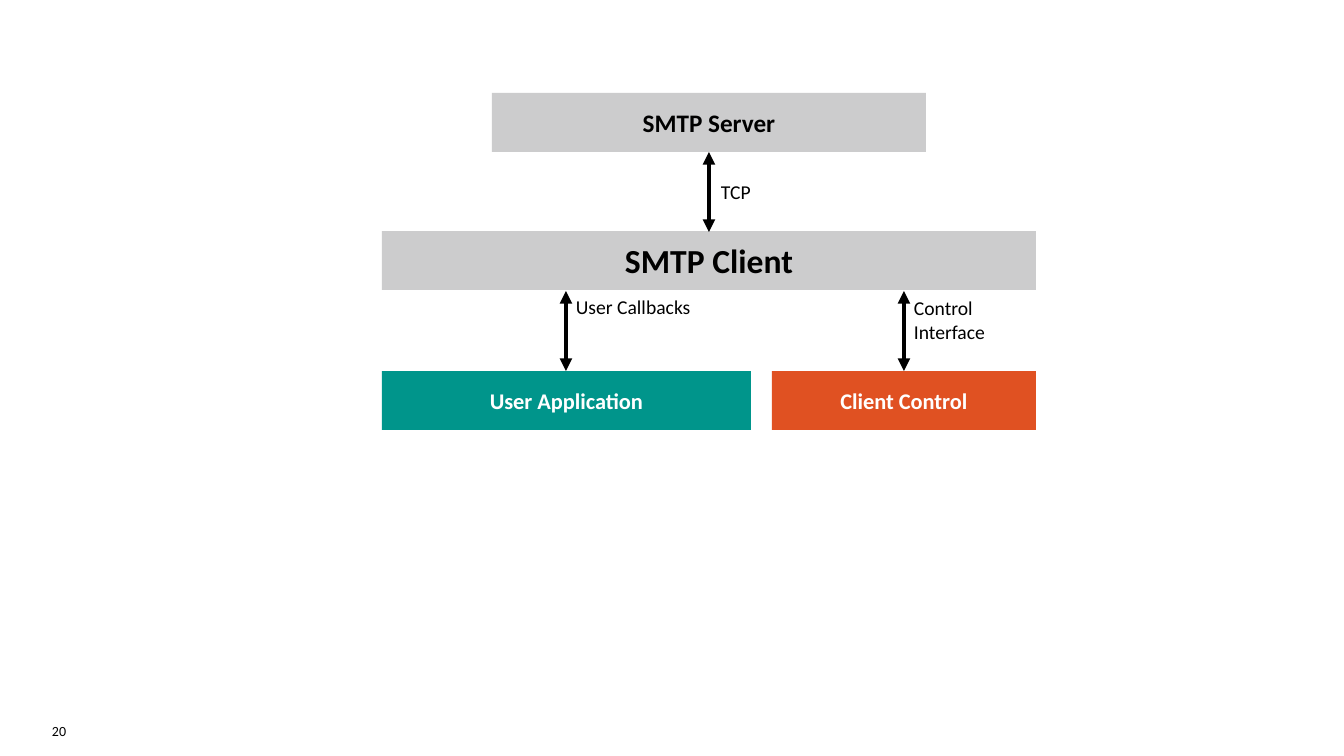
"""Builds a slide showing how an SMTP client links server, application and control."""
from lxml import etree
from pptx import Presentation
from pptx.dml.color import RGBColor
from pptx.enum.shapes import MSO_CONNECTOR, MSO_SHAPE
from pptx.enum.text import MSO_ANCHOR, MSO_AUTO_SIZE, PP_ALIGN
from pptx.oxml.ns import qn
from pptx.util import Emu, Pt

RECT = MSO_SHAPE.RECTANGLE
LINE = MSO_CONNECTOR.STRAIGHT
MIDDLE, TOP = MSO_ANCHOR.MIDDLE, MSO_ANCHOR.TOP
CENTER, LEFT = PP_ALIGN.CENTER, PP_ALIGN.LEFT
GROW = MSO_AUTO_SIZE.SHAPE_TO_FIT_TEXT
FONT = "Calibri"
COLORS = {"gray": "808082", "orange": "E05122", "teal": "00958B",
          "black": "000000", "white": "FFFFFF"}


def px(n):
    return Emu(round(n * 914400 / 100.8))


def write(shape, text, size, color, bold, align, anchor):
    frame = shape.text_frame
    frame.word_wrap = True
    frame.vertical_anchor = anchor
    para = frame.paragraphs[0]
    para.alignment = align
    run = para.add_run()
    run.text = text
    run.font.name = FONT
    run.font.size = Pt(size)
    run.font.bold = bold
    run.font.color.rgb = RGBColor.from_string(COLORS[color])
    return frame


deck = Presentation()
deck.slide_width, deck.slide_height = px(1344), px(756)
slide = deck.slides.add_slide(deck.slide_layouts[6])
shapes = slide.shapes

number = shapes.add_textbox(px(52), px(723), px(144), px(26))
frame = write(number, "20", 10, "black", False, LEFT, TOP)
frame.margin_left = frame.margin_top = frame.margin_bottom = 0

boxes = [
    ("SMTP Server", 492, 93, 434, 18, "gray", "black"),
    ("SMTP Client", 382, 231, 654, 24, "gray", "black"),
    ("User Application", 382, 371, 369, 16, "teal", "white"),
    ("Client Control", 772, 371, 264, 16, "orange", "white"),
]
for text, left, top, width, size, fill, ink in boxes:
    box = shapes.add_shape(RECT, px(left), px(top), px(width), px(59))
    box.shadow.inherit = False
    box.fill.solid()
    box.fill.fore_color.rgb = RGBColor.from_string(COLORS[fill])
    box.line.fill.background()
    if fill == "gray":
        tint = box._element.spPr.find(".//" + qn("a:srgbClr"))
        etree.SubElement(tint, qn("a:alpha"), val="40000")
    write(box, text, size, ink, True, CENTER, MIDDLE)

links = [
    ("TCP", 709, 152, 711, 175, 174, 34),
    ("User Callbacks", 566, 291, 566, 290, 237, 34),
    ("Control Interface", 904, 291, 904, 291, 132, 57),
]
for text, x, y, left, top, width, height in links:
    arrow = shapes.add_connector(LINE, px(x), px(y), px(x), px(y + 80))
    arrow.line.width = Pt(3)
    arrow.line.color.rgb = RGBColor.from_string(COLORS["black"])
    stroke = arrow.line._get_or_add_ln()
    for end in ("a:headEnd", "a:tailEnd"):
        etree.SubElement(stroke, qn(end), type="triangle")
    etree.SubElement(arrow._element.spPr, qn("a:effectLst"))
    label = shapes.add_textbox(px(left), px(top), px(width), px(height))
    write(label, text, 14, "black", False, LEFT, TOP).auto_size = GROW

deck.save("out.pptx")
